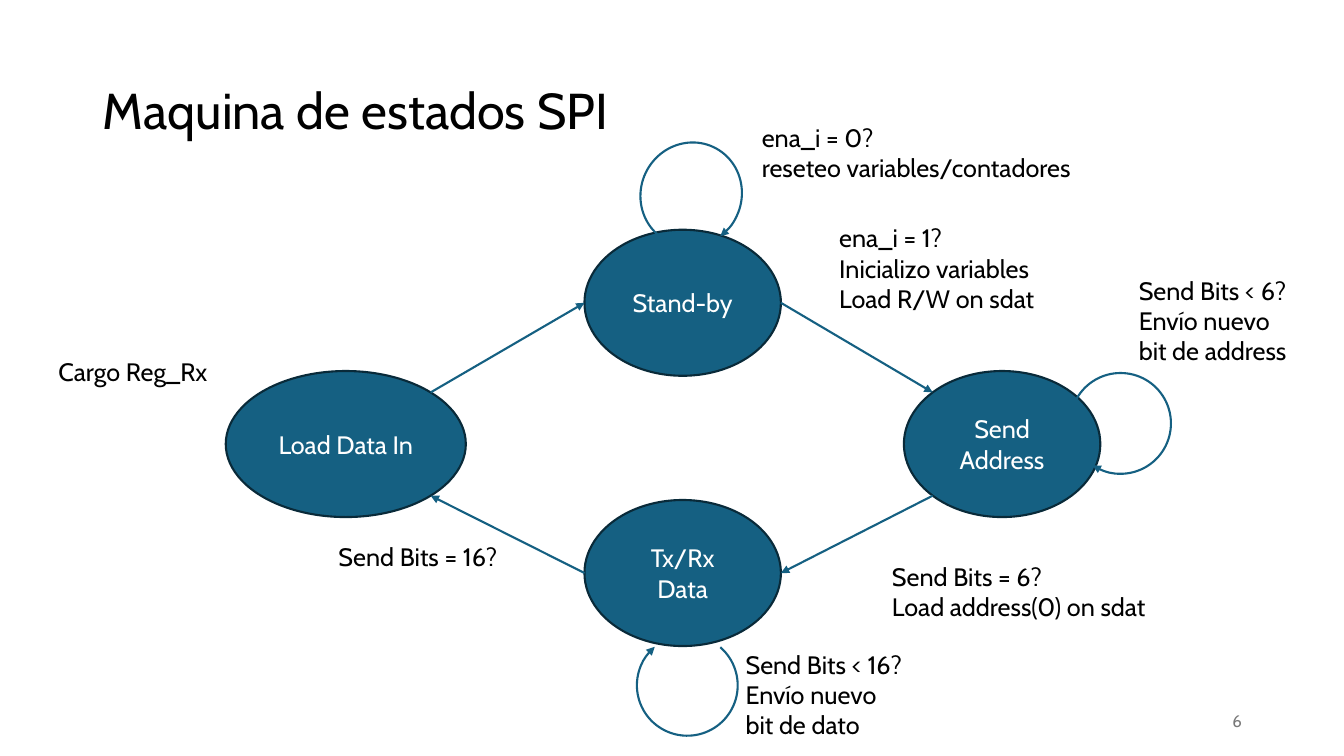
"""Builds the slide with the SPI state machine diagram."""
from math import cos, radians, sin

from lxml.etree import SubElement
from pptx import Presentation
from pptx.dml.color import RGBColor
from pptx.enum.shapes import MSO_CONNECTOR, MSO_SHAPE
from pptx.enum.text import MSO_ANCHOR, PP_ALIGN
from pptx.oxml.ns import qn
from pptx.util import Cm, Pt

FONT = "Cabin"
BLUE, OUTLINE, BLACK, GRAY, WHITE = "156082", "092A39", "000000", "797979", "FFFFFF"
STATE_HEIGHT = 3.68

TITLE = ("Maquina de estados SPI", (2.34, 1.02, 29.21, 3.68))
PAGE_NUMBER = ("6", (23.93, 17.65, 7.62, 1.02))

STATES = {
    "Stand-by": (14.73, 5.79, 4.95),
    "Send Address": (22.78, 9.35, 4.95),
    "Tx/Rx Data": (14.73, 12.6, 4.95),
    "Load Data In": (5.69, 9.35, 6.05),
}

# Each end is a state and an angle in degrees, clockwise from its right side.
TRANSITIONS = [
    (("Stand-by", 0), ("Send Address", 225)),
    (("Send Address", 135), ("Tx/Rx Data", 0)),
    (("Tx/Rx Data", 180), ("Load Data In", 45)),
    (("Load Data In", 315), ("Stand-by", 180)),
]

LOOPS = [
    ((16.1, 3.63, 2.64, 2.54), 295.2, (116.67, 71.96)),
    ((26.97, 9.4, 2.54, 2.54), 0, (122.88, 74.21)),
    ((16.05, 16, 2.54, 2.54), 106.1, (122.88, 74.21)),
]

LABELS = [
    (["ena_i = 0?", "reseteo variables/contadores"], (18.95, 2.95, 8.59, 1.8)),
    (["ena_i = 1?", "Inicializo variables", "Load R/W on sdat"], (20.9, 5.49, 5.72, 2.57)),
    (["Send Bits < 6?", "Envío nuevo", "bit de address"], (28.45, 6.81, 4.75, 3.33)),
    (["Send Bits = 6?", "Load address(0) on sdat"], (22.23, 14.02, 7.14, 1.8)),
    (["Send Bits < 16?", "Envío nuevo", "bit de dato"], (18.54, 16.23, 4.75, 3.33)),
    (["Send Bits = 16?"], (8.28, 13.51, 5.18, 1.02)),
    (["Cargo Reg_Rx"], (1.22, 8.86, 4.75, 1.8)),
]


def color(value):
    return RGBColor.from_string(value)


def lengths(values):
    return [Cm(value) for value in values]


def write(shape, lines, size=18, ink=BLACK, align=PP_ALIGN.LEFT, anchor=MSO_ANCHOR.TOP):
    frame = shape.text_frame
    frame.word_wrap = True
    frame.vertical_anchor = anchor
    frame.text = "\n".join(lines)
    for paragraph in frame.paragraphs:
        paragraph.alignment = align
        paragraph.font.name = FONT
        paragraph.font.size = Pt(size)
        paragraph.font.color.rgb = color(ink)


def add_text(slide, lines, box, **style):
    shape = slide.shapes.add_textbox(*lengths(box))
    write(shape, lines, **style)
    return shape


def set_line(shape, ink, arrow=False):
    shape.line.color.rgb = color(ink)
    shape.line.width = Pt(1.5)
    if arrow:
        line = shape.line._get_or_add_ln()
        SubElement(line, qn("a:tailEnd"), type="triangle")


def add_state(slide, name):
    left, top, width = STATES[name]
    box = lengths((left, top, width, STATE_HEIGHT))
    shape = slide.shapes.add_shape(MSO_SHAPE.OVAL, *box)
    shape.shadow.inherit = False
    shape.fill.solid()
    shape.fill.fore_color.rgb = color(BLUE)
    set_line(shape, OUTLINE)
    write(shape, [name], ink=WHITE, align=PP_ALIGN.CENTER, anchor=MSO_ANCHOR.MIDDLE)


def edge_point(name, angle):
    left, top, width = STATES[name]
    turn = radians(angle)
    x = left + width / 2 * (1 + cos(turn))
    y = top + STATE_HEIGHT / 2 * (1 + sin(turn))
    return lengths((x, y))


def add_transition(slide, start, end):
    connector = slide.shapes.add_connector(
        MSO_CONNECTOR.STRAIGHT, *edge_point(*start), *edge_point(*end))
    set_line(connector, BLUE, arrow=True)
    SubElement(connector._element.spPr, qn("a:effectLst"))


def add_loop(slide, box, rotation, angles):
    arc = slide.shapes.add_shape(MSO_SHAPE.ARC, *lengths(box))
    arc.adjustments[0], arc.adjustments[1] = angles
    arc.rotation = rotation
    arc.shadow.inherit = False
    arc.fill.background()
    set_line(arc, BLUE, arrow=True)


def main():
    presentation = Presentation()
    presentation.slide_width, presentation.slide_height = lengths((33.87, 19.05))
    slide = presentation.slides.add_slide(presentation.slide_layouts[6])

    text, box = TITLE
    title = add_text(slide, [text], box, size=36, anchor=MSO_ANCHOR.MIDDLE)
    title.text_frame.paragraphs[0].line_spacing = 0.9
    text, box = PAGE_NUMBER
    add_text(slide, [text], box, size=12, ink=GRAY,
             align=PP_ALIGN.RIGHT, anchor=MSO_ANCHOR.MIDDLE)

    for name in STATES:
        add_state(slide, name)
    for start, end in TRANSITIONS:
        add_transition(slide, start, end)
    for box, rotation, angles in LOOPS:
        add_loop(slide, box, rotation, angles)
    for lines, box in LABELS:
        add_text(slide, lines, box)

    presentation.save("out.pptx")


if __name__ == "__main__":
    main()
